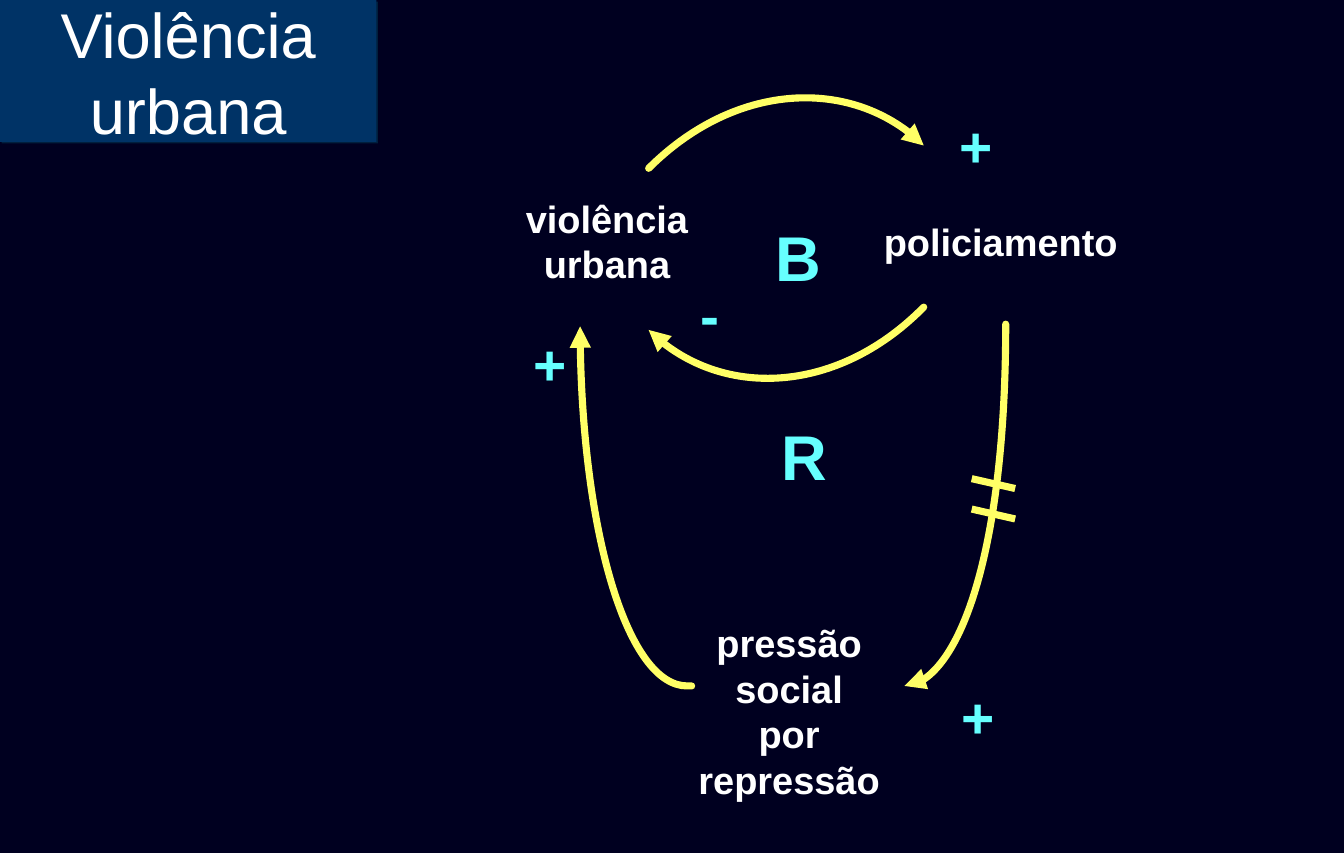
from lxml import etree
from pptx import Presentation
from pptx.dml.color import RGBColor
from pptx.enum import shapes, text
from pptx.oxml import ns, parse_xml
from pptx.util import Cm, Pt

NIGHT, NAVY, SHADE = "000020", "003366", "001F3D"
WHITE, CYAN, YELLOW = "FFFFFF", "66FFFF", "FFFF66"


def paint(color_format, value):
    color_format.rgb = RGBColor.from_string(value)


def fill(target, value):
    target.fill.solid()
    paint(target.fill.fore_color, value)


def style_text(frame, size, color, bold):
    for paragraph in frame.paragraphs:
        paragraph.alignment = text.PP_ALIGN.CENTER
        font = paragraph.font
        font.name, font.size, font.bold = "Arial", Pt(size), bold
        paint(font.color, color)


def add_title(slide, wording):
    title = slide.shapes.title
    title.left, title.top, title.width, title.height = Cm(0), Cm(0), Cm(8.4), Cm(3.17)
    fill(title, NAVY)
    frame = title.text_frame
    frame.text = wording
    frame.word_wrap = True
    frame.auto_size = text.MSO_AUTO_SIZE.NONE
    frame.vertical_anchor = text.MSO_ANCHOR.MIDDLE
    style_text(frame, 40, WHITE, False)
    title._element.spPr.append(parse_xml(
        f'<a:effectLst {ns.nsdecls("a")}><a:outerShdw dist="17780" dir="2700000">'
        f'<a:srgbClr val="{SHADE}"/></a:outerShdw></a:effectLst>'))


def add_label(slide, wording, left, top, width, height, size, color):
    label = slide.shapes.add_textbox(Cm(left), Cm(top), Cm(width), Cm(height))
    frame = label.text_frame
    frame.word_wrap = False
    frame.auto_size = text.MSO_AUTO_SIZE.SHAPE_TO_FIT_TEXT
    frame.text = wording
    style_text(frame, size, color, True)


def style_line(line):
    line.width = Pt(4.5)
    paint(line.color, YELLOW)


def add_curved_arrow(slide, start, *controls):
    """Draw Bézier segments; each takes three of the control points."""
    builder = slide.shapes.build_freeform(Cm(start[0]), Cm(start[1]))
    builder.add_line_segments([(Cm(x), Cm(y)) for x, y in controls], close=False)
    arrow = builder.convert_to_shape()
    arrow.shadow.inherit = False
    arrow.fill.background()
    style_line(arrow.line)

    # Turn each three straight steps into one cubic segment
    steps = list(arrow._element.iter(ns.qn("a:lnTo")))
    for first in range(0, len(steps), 3):
        cubic = etree.Element(ns.qn("a:cubicBezTo"))
        steps[first].addprevious(cubic)
        for step in steps[first:first + 3]:
            cubic.append(step[0])
            step.getparent().remove(step)

    # Round start and triangular head
    outline = arrow.line._get_or_add_ln()
    outline.set("cap", "rnd")
    etree.SubElement(outline, ns.qn("a:round"))
    etree.SubElement(outline, ns.qn("a:tailEnd"), type="triangle")


def add_delay_mark(slide, top):
    mark = slide.shapes.add_connector(
        shapes.MSO_CONNECTOR.STRAIGHT, Cm(21.69), Cm(top), Cm(22.66), Cm(top + 0.22))
    style_line(mark.line)
    etree.SubElement(mark._element.spPr, ns.qn("a:effectLst"))


def main():
    deck = Presentation()
    deck.slide_width, deck.slide_height = Cm(30), Cm(19.05)
    slide = deck.slides.add_slide(deck.slide_layouts[5])
    fill(slide.background, NIGHT)
    add_title(slide, "Violência urbana")

    # Balancing loop
    add_curved_arrow(slide, (14.48, 3.76), (16.31, 1.93), (19.08, 1.7), (20.62, 3.25))
    add_curved_arrow(slide, (20.62, 6.86), (18.8, 8.71), (16.03, 8.94), (14.48, 7.37))

    # Reinforcing loop
    add_curved_arrow(slide, (15.44, 15.32), (15.42, 15.32), (15.39, 15.32), (15.34, 15.32),
                     (14.02, 15.32), (12.95, 11.73), (12.95, 7.29))
    add_curved_arrow(slide, (22.45, 7.24), (22.45, 11.71), (21.44, 15.32), (20.19, 15.32))
    for top in (10.69, 11.37):
        add_delay_mark(slide, top)

    # Variables
    for wording, left, top, width, height in (
            ("violência\nurbana", 11.48, 4.24, 4.14, 2.29),
            ("policiamento", 19.24, 4.75, 6.2, 1.27),
            ("pressão\nsocial\npor\nrepressão", 15.34, 13.72, 4.55, 4.32)):
        add_label(slide, wording, left, top, width, height, 24, WHITE)

    # Loop names
    for wording, left, top in (("B", 17.07, 4.75), ("R", 17.2, 9.19)):
        add_label(slide, wording, left, top, 1.52, 1.93, 40, CYAN)

    # Signs of influence
    for wording, left, top, width in (
            ("+", 21.16, 2.34, 1.24), ("-", 15.39, 6.12, 0.91),
            ("+", 11.66, 7.21, 1.24), ("+", 21.21, 15.11, 1.24)):
        add_label(slide, wording, left, top, width, 1.78, 36, CYAN)

    deck.save("out.pptx")


if __name__ == "__main__":
    main()
